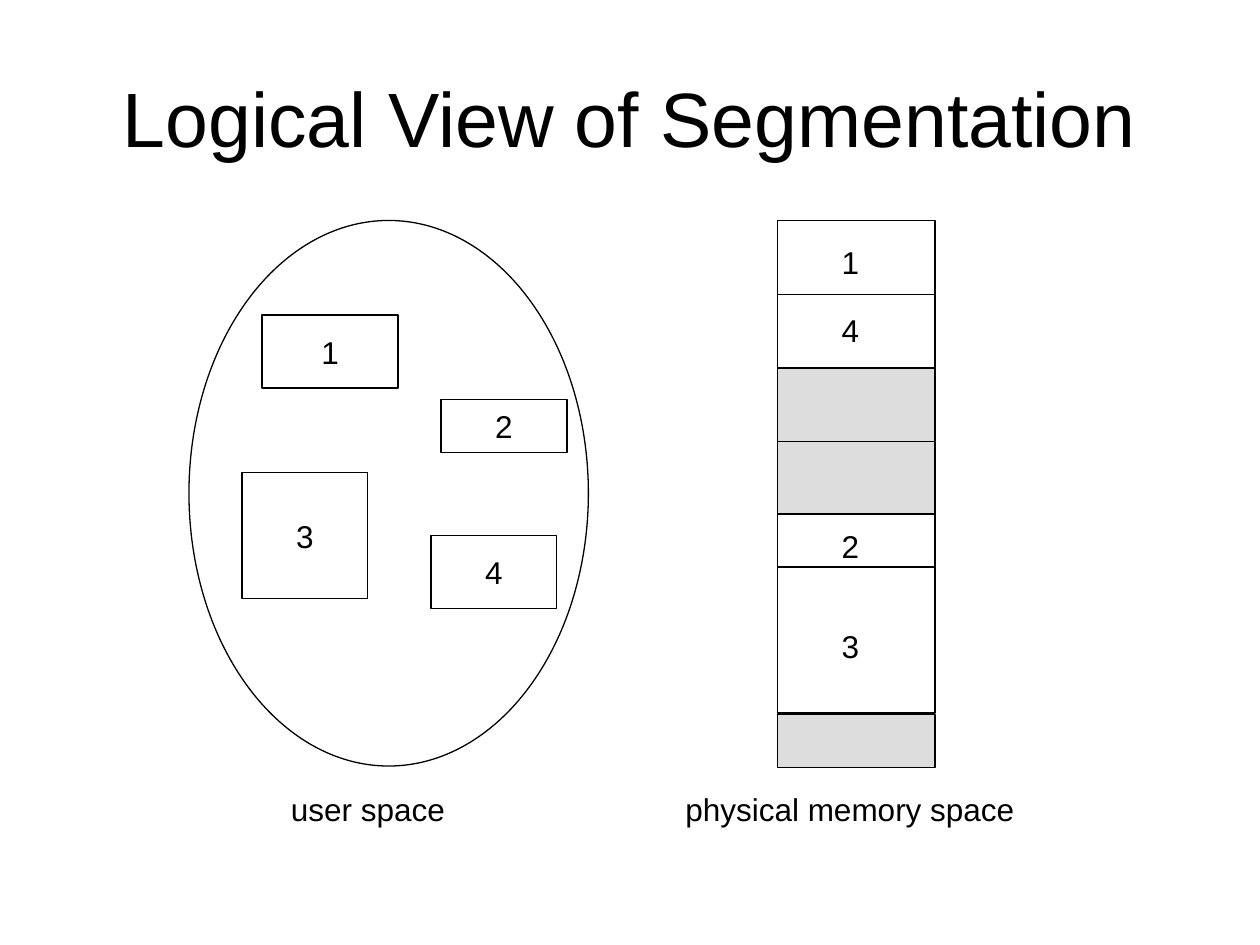
"""Build the slide on the logical view of segmentation."""
from typing import NamedTuple

from lxml import etree
from pptx import Presentation
from pptx.dml.color import RGBColor
from pptx.enum.shapes import MSO_CONNECTOR, MSO_SHAPE
from pptx.enum.text import MSO_ANCHOR, MSO_AUTO_SIZE, PP_ALIGN
from pptx.oxml.ns import qn
from pptx.util import Inches, Pt

RECT, OVAL = MSO_SHAPE.RECTANGLE, MSO_SHAPE.OVAL
STRAIGHT = MSO_CONNECTOR.STRAIGHT
MIDDLE, CENTER = MSO_ANCHOR.MIDDLE, PP_ALIGN.CENTER
FIT_SHAPE = MSO_AUTO_SIZE.SHAPE_TO_FIT_TEXT
BLACK, WHITE, GRAY = "000000", "FFFFFF", "DDDDDD"
LEFT_SIDE, RIGHT_SIDE = 1, 3
MEM_X, MEM_W = 6.17, 1.25


class Box(NamedTuple):
    x: float
    y: float
    w: float
    h: float
    text: str = ""
    fill: str = WHITE


SEGMENTS = [
    Box(2.08, 2.5, 1.08, 0.58, "1"),
    Box(1.92, 3.75, 1, 1, "3"),
    Box(3.5, 3.17, 1, 0.42, "2"),
    Box(3.42, 4.25, 1, 0.58, "4"),
]
HALVED_BLOCKS = [
    Box(MEM_X, 1.75, MEM_W, 1.17),
    Box(MEM_X, 2.92, MEM_W, 1.17, fill=GRAY),
]
LOWER_BLOCKS = [
    Box(MEM_X, 4.08, MEM_W, 1.58),
    Box(MEM_X, 5.67, MEM_W, 0.42, fill=GRAY),
]
MEMORY_LABELS = [Box(6.58, y, 0.34, 0.4, text)
                 for text, y in (("1", 1.88), ("4", 2.42), ("2", 4.13), ("3", 4.93))]
CAPTIONS = [
    Box(2.21, 6.22, 1.42, 0.4, "user space"),
    Box(5.34, 6.22, 2.81, 0.4, "physical memory space"),
]


def rgb(color: str) -> RGBColor:
    """Turn a hex string into a colour."""
    return RGBColor.from_string(color)


def write(sp, text: str, size: float = 18, color: str = BLACK, wrap: bool = False) -> None:
    """Put centred text into a shape."""
    tf = sp.text_frame
    tf.word_wrap = wrap
    tf.vertical_anchor = MIDDLE
    p = tf.paragraphs[0]
    p.alignment = CENTER
    r = p.add_run()
    r.text = text
    r.font.name = "Arial"
    r.font.size = Pt(size)
    r.font.color.rgb = rgb(color)


def outline(s) -> None:
    """Give a shape or connector the thin black line."""
    s.line.color.rgb = rgb(BLACK)
    s.line.width = Pt(0.75)


def add_box(shapes, box: Box, kind=RECT):
    """Draw an outlined, filled shape with its text."""
    sp = shapes.add_shape(kind, *map(Inches, box[:4]))
    sp.shadow.inherit = False
    sp.fill.solid()
    sp.fill.fore_color.rgb = rgb(box.fill)
    outline(sp)
    if box.text:
        write(sp, box.text)
    return sp


def add_label(shapes, box: Box) -> None:
    """Draw a text box that fits its text."""
    sp = shapes.add_textbox(*map(Inches, box[:4]))
    write(sp, box.text)
    sp.text_frame.auto_size = FIT_SHAPE


def add_divider(shapes, y: float):
    """Draw a horizontal line across the memory column."""
    line = shapes.add_connector(
        STRAIGHT, Inches(MEM_X), Inches(y), Inches(MEM_X + MEM_W), Inches(y))
    outline(line)
    etree.SubElement(line._element.spPr, qn("a:effectLst"))
    return line


def add_memory(shapes) -> None:
    """Draw the physical memory column."""
    for box in HALVED_BLOCKS:
        sp = add_box(shapes, box)
        line = add_divider(shapes, box.y + box.h / 2)
        line.begin_connect(sp, LEFT_SIDE)
        line.end_connect(sp, RIGHT_SIDE)
    for box in LOWER_BLOCKS:
        add_box(shapes, box)
    add_divider(shapes, 4.5)
    for box in MEMORY_LABELS:
        add_label(shapes, box)


def main() -> None:
    """Build and save the slide."""
    prs = Presentation()
    prs.slide_width, prs.slide_height = Inches(10), Inches(7.5)
    s = prs.slides.add_slide(prs.slide_layouts[5])
    title = s.shapes.title
    title.left, title.top = Inches(0.5), Inches(0.3)
    title.width, title.height = Inches(9), Inches(1.25)
    write(title, "Logical View of Segmentation", size=44, wrap=True)
    add_box(s.shapes, Box(1.5, 1.75, 3.17, 4.33), OVAL)
    for box in SEGMENTS:
        add_box(s.shapes, box)
    add_memory(s.shapes.add_group_shape().shapes)
    for box in CAPTIONS:
        add_label(s.shapes, box)
    prs.save("out.pptx")


if __name__ == "__main__":
    main()
